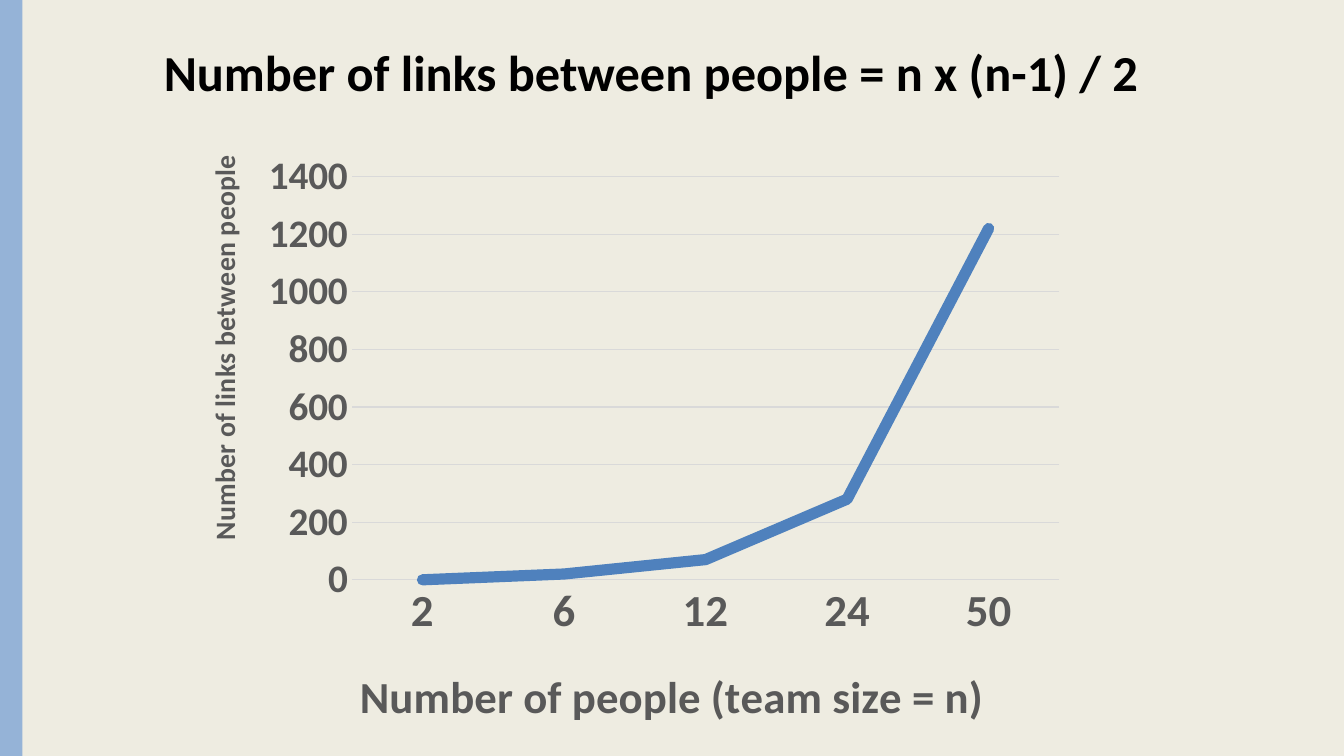
from lxml import etree
from pptx import Presentation
from pptx.chart.data import CategoryChartData
from pptx.dml.color import RGBColor
from pptx.enum.chart import XL_CHART_TYPE as ChartType, XL_TICK_MARK as TickMark
from pptx.enum.shapes import MSO_SHAPE as Shape
from pptx.enum.text import MSO_ANCHOR as Anchor, MSO_AUTO_SIZE as AutoSize, PP_ALIGN as Align
from pptx.oxml.ns import qn
from pptx.util import Pt

TITLE = "Number of links between people = n x (n-1) / 2"
TEAM_SIZES = ["2", "6", "12", "24", "50"]
LINKS = [0, 20, 70, 280, 1220]
PEOPLE_AXIS = "Number of people (team size = n)"
LINKS_AXIS = "Number of links between people"

FONT = "Calibri"
COLORS = {"page": "EEECE1", "band": "95B3D7", "title": "000000",
          "label": "595959", "grid": "D9D9D9", "line": "4F81BD"}

# Fractions of the chart frame
PLOT_AREA = {"x": 0.19, "y": 0.06, "w": 0.79, "h": 0.68}
PEOPLE_SPOT = {"x": 0.19, "y": 0.87}
LINKS_SPOT = {"x": 0.02, "y": 0.02}


def rgb(name):
    return RGBColor.from_string(COLORS[name])


def style(font, size, color):
    font.name, font.size, font.bold = FONT, Pt(size), True
    font.color.rgb = rgb(color)


def make_layout(spot, inner=False):
    """Build a manual chart layout from fractions of the frame."""
    layout = etree.Element(qn("c:layout"))
    manual = etree.SubElement(layout, qn("c:manualLayout"))
    settings = [("layoutTarget", "inner")] if inner else []
    settings += [("xMode", "edge"), ("yMode", "edge"), *spot.items()]
    for tag, value in settings:
        etree.SubElement(manual, qn(f"c:{tag}")).set("val", str(value))
    return layout


def drop_layout(parent):
    for layout in parent.findall(qn("c:layout")):
        parent.remove(layout)


def format_axis(axis, text, title_size, label_size, spot, turn):
    axis.major_tick_mark = axis.minor_tick_mark = TickMark.NONE
    style(axis.tick_labels.font, label_size, "label")
    frame = axis.axis_title.text_frame
    frame.text = text
    style(frame.paragraphs[0].runs[0].font, title_size, "label")
    title = axis.axis_title._element
    body = title.find(".//" + qn("a:bodyPr"))
    body.set("rot", str(turn * 60000))
    body.set("vert", "horz")
    drop_layout(title)
    title.find(qn("c:tx")).addnext(make_layout(spot))


def add_title(page):
    box = page.shapes.title
    box.left, box.top, box.width, box.height = Pt(106), Pt(26), Pt(718.5), Pt(51)
    frame = box.text_frame
    frame.text = TITLE
    frame.word_wrap = False
    frame.auto_size = AutoSize.SHAPE_TO_FIT_TEXT
    frame.vertical_anchor = Anchor.TOP
    para = frame.paragraphs[0]
    para.alignment = Align.CENTER
    style(para.runs[0].font, 36, "title")


def add_links_chart(page):
    data = CategoryChartData()
    data.categories = TEAM_SIZES
    data.add_series("Series 1", LINKS)
    chart = page.shapes.add_chart(
        ChartType.LINE, Pt(129.6), Pt(100.8), Pt(640), Pt(427), data).chart
    chart.has_title = chart.has_legend = False
    chart.font.name, chart.font.size = FONT, Pt(10)

    people, links = chart.category_axis, chart.value_axis
    format_axis(people, PEOPLE_AXIS, 32, 32, PEOPLE_SPOT, 0)
    format_axis(links, LINKS_AXIS, 20, 28, LINKS_SPOT, -90)
    links.minimum_scale, links.maximum_scale, links.major_unit = 0, 1400, 200
    links.format.line.fill.background()
    links.has_major_gridlines = True
    for line in (people.format.line, links.major_gridlines.format.line):
        line.color.rgb = rgb("grid")
        line.width = Pt(0.75)

    plot = chart.plots[0]
    plot.vary_by_categories = False
    series = plot.series[0]
    series.smooth = False
    stroke = series.format.line
    stroke.color.rgb = rgb("line")
    stroke.width = Pt(8)
    outline = series._element.find(".//" + qn("a:ln"))
    outline.set("cap", "rnd")
    etree.SubElement(outline, qn("a:round"))

    area = chart._chartSpace.find(".//" + qn("c:plotArea"))
    drop_layout(area)
    area.insert(0, make_layout(PLOT_AREA, inner=True))


def main():
    deck = Presentation()
    deck.slide_width, deck.slide_height = Pt(960), Pt(540)
    page = deck.slides.add_slide(deck.slide_layouts[5])
    page.background.fill.solid()
    page.background.fill.fore_color.rgb = rgb("page")

    band = page.shapes.add_shape(Shape.RECTANGLE, 0, 0, Pt(16), deck.slide_height)
    band.shadow.inherit = False
    band.fill.solid()
    band.fill.fore_color.rgb = rgb("band")
    band.line.fill.background()

    add_title(page)
    add_links_chart(page)
    deck.save("out.pptx")


if __name__ == "__main__":
    main()
